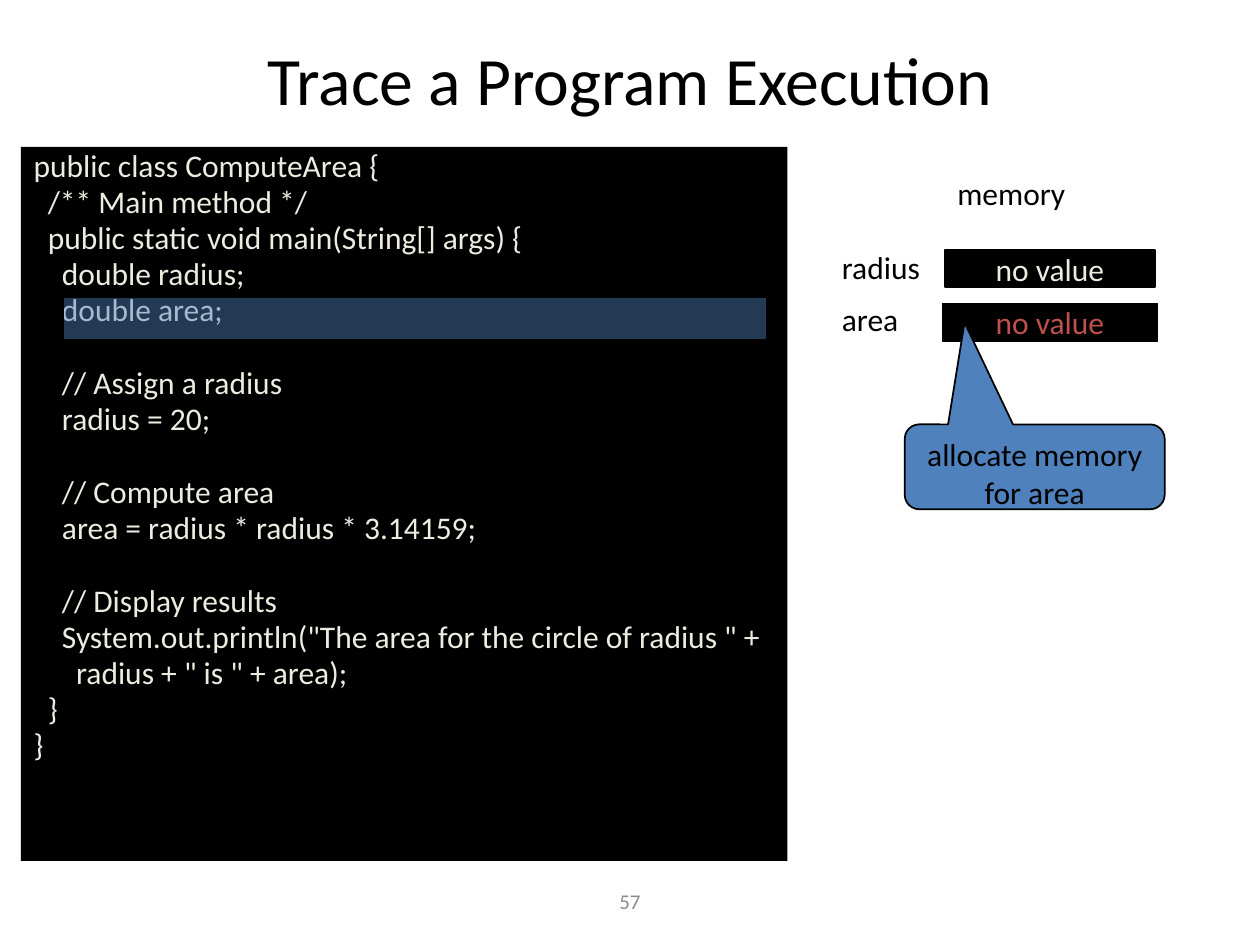
from lxml import etree
from pptx import Presentation
from pptx.dml.color import RGBColor
from pptx.enum.shapes import MSO_SHAPE
from pptx.enum.text import MSO_ANCHOR, MSO_AUTO_SIZE, PP_ALIGN
from pptx.oxml.ns import qn
from pptx.util import Pt

RECT = MSO_SHAPE.RECTANGLE
CALLOUT = MSO_SHAPE.ROUNDED_RECTANGULAR_CALLOUT
TOP, MIDDLE = MSO_ANCHOR.TOP, MSO_ANCHOR.MIDDLE
LEFT, CENTER = PP_ALIGN.LEFT, PP_ALIGN.CENTER
NO_AUTOFIT = MSO_AUTO_SIZE.NONE

COLORS = {
    "black": "000000",
    "cream": "EEECE1",
    "blue": "4F81BD",
    "red": "C0504D",
    "gray": "8C8C8C",
}
LEVEL_INDENT = 8.1
LINE_GAP = 3.35
BLANK_LINE = 20.9

# Each block is a list of (nesting level, code line); blocks are set apart by one line.
CODE_BLOCKS = [
    [
        (0, "public class ComputeArea {"),
        (1, "/** Main method */"),
        (1, "public static void main(String[] args) {"),
        (2, "double radius;"),
        (2, "double area;"),
    ],
    [(2, "// Assign a radius"), (2, "radius = 20;")],
    [(2, "// Compute area"), (2, "area = radius * radius * 3.14159;")],
    [
        (2, "// Display results"),
        (2, 'System.out.println("The area for the circle of radius " +'),
        (3, 'radius + " is " + area);'),
        (1, "}"),
        (0, "}"),
    ],
]


def color(name):
    return RGBColor.from_string(COLORS[name])


def place(sp, box):
    for name, value in zip(("left", "top", "width", "height"), box):
        setattr(sp, name, Pt(value))


def set_frame(tf, anchor=TOP, wrap=True, margin=None):
    formats = {"auto_size": NO_AUTOFIT, "vertical_anchor": anchor, "word_wrap": wrap}
    if margin is not None:
        for side in ("left", "top", "right", "bottom"):
            formats["margin_" + side] = Pt(margin)
    for name, value in formats.items():
        setattr(tf, name, value)


def write(p, text, font_color="black", size=18, align=LEFT):
    p.alignment = align
    r = p.add_run()
    r.text = text
    for name, value in {"name": "Calibri", "size": Pt(size)}.items():
        setattr(r.font, name, value)
    r.font.color.rgb = color(font_color)


def add_title(s, text):
    sp = s.shapes.title
    place(sp, (54, 24, 612, 42))
    set_frame(sp.text_frame, MIDDLE)
    write(sp.text_frame.paragraphs[0], text, size=38.7, align=CENTER)


def add_code(s, blocks):
    sp = s.placeholders[1]
    place(sp, (12, 84, 438, 408))
    sp.fill.solid()
    sp.fill.fore_color.rgb = color("black")
    tf = sp.text_frame
    set_frame(tf)
    p = tf.paragraphs[0]
    for b, block in enumerate(blocks):
        for i, (level, line) in enumerate(block):
            if b or i:
                p = tf.add_paragraph()
            write(p, line, "cream")
            p.line_spacing = 0.8
            p.space_before = Pt(LINE_GAP + (BLANK_LINE if b and not i else 0))
            pPr = p._p.get_or_add_pPr()
            pPr.set("marL", str(Pt(level * LEVEL_INDENT)))
            pPr.set("indent", "0")
            etree.SubElement(pPr, qn("a:buNone"))


def add_label(s, box, text, anchor=TOP, **style):
    sp = s.shapes.add_textbox(*map(Pt, box))
    set_frame(sp.text_frame, anchor)
    write(sp.text_frame.paragraphs[0], text, **style)


def add_panel(s, kind, box, fill):
    """Add a filled shape with a thin black outline."""
    sp = s.shapes.add_shape(kind, *map(Pt, box))
    sp.shadow.inherit = False
    sp.fill.solid()
    sp.fill.fore_color.rgb = color(fill)
    sp.line.color.rgb = color("black")
    sp.line.width = Pt(1)
    return sp


def add_memory_cell(s, box, text, font_color):
    tf = add_panel(s, RECT, box, "black").text_frame
    set_frame(tf, MIDDLE, wrap=False, margin=0.72)
    write(tf.paragraphs[0], text, font_color, align=CENTER)


def add_highlight(s, box, opacity):
    sp = add_panel(s, RECT, box, "blue")
    fill_color = sp._element.spPr.find(qn("a:solidFill"))[0]
    etree.SubElement(fill_color, qn("a:alpha")).set("val", str(opacity * 1000))


def add_callout(s, box, text, adjustments):
    sp = add_panel(s, CALLOUT, box, "blue")
    for i, value in enumerate(adjustments):
        sp.adjustments[i] = value
    set_frame(sp.text_frame)
    write(sp.text_frame.paragraphs[0], text, align=CENTER)


def main():
    prs = Presentation()
    prs.slide_width, prs.slide_height = Pt(720), Pt(540)
    s = prs.slides.add_slide(prs.slide_layouts[1])

    add_title(s, "Trace a Program Execution")
    add_code(s, CODE_BLOCKS)
    add_highlight(s, (36, 170, 402, 24.5), 45)

    add_label(s, (540, 96, 114, 29), "memory")
    add_label(s, (474, 138, 66, 29), "radius")
    add_memory_cell(s, (540, 143, 120, 21), "no value", "cream")
    add_label(s, (474, 168, 66, 29), "area")
    add_memory_cell(s, (538.5, 173.5, 123, 21.5), "no value", "red")
    add_callout(s, (517, 242.5, 148.5, 48.5), "allocate memory for area",
                (-0.27, -1.7, 0.17))

    add_label(s, (246, 500.5, 228, 29), "57", MIDDLE,
              font_color="gray", size=12, align=CENTER)
    prs.save("out.pptx")


if __name__ == "__main__":
    main()
